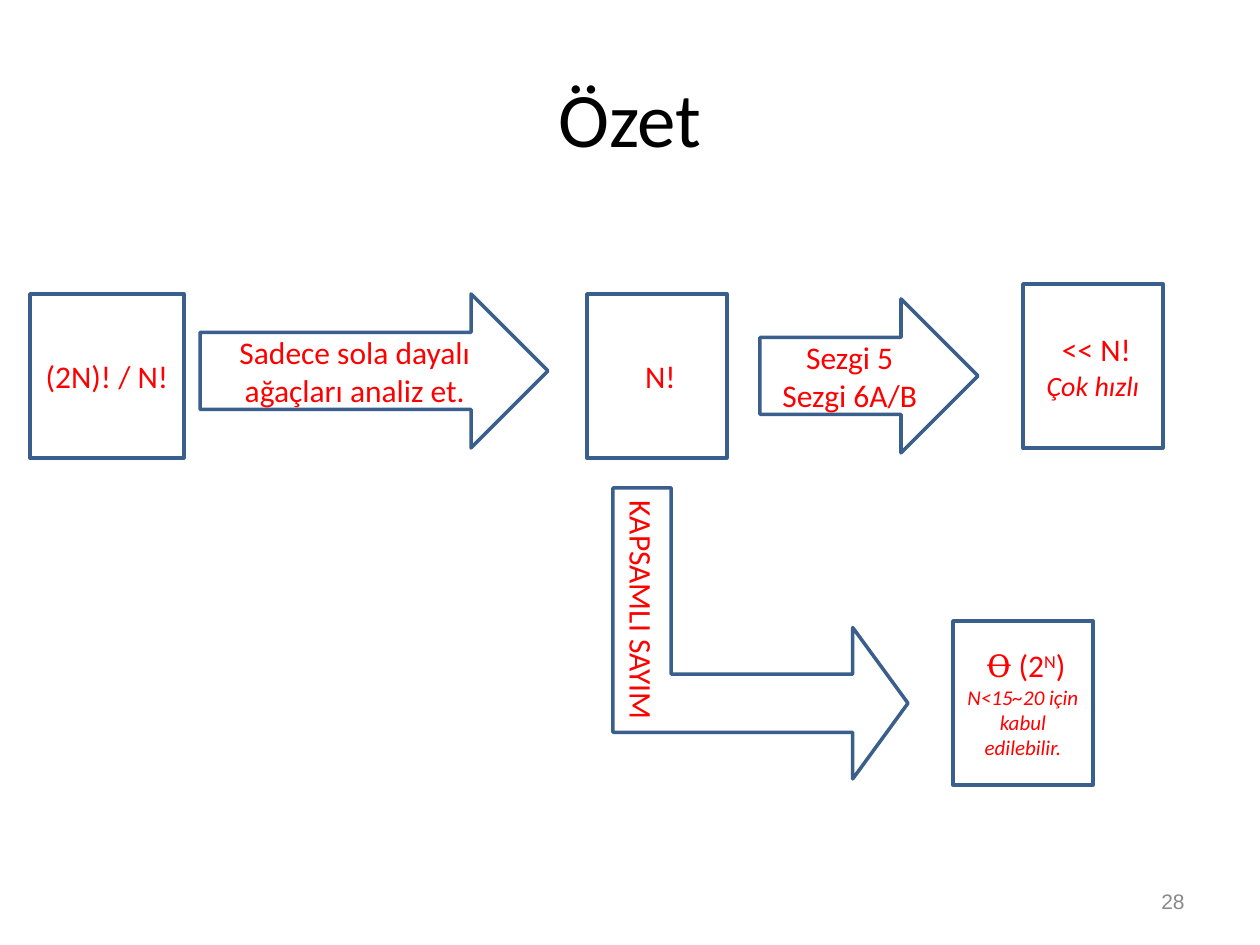
import pptx
import pptx.util
import pptx.dml.color
import pptx.enum.shapes
import pptx.enum.text

SHAPE = pptx.enum.shapes.MSO_SHAPE
ALIGN = pptx.enum.text.PP_ALIGN
MIDDLE = pptx.enum.text.MSO_ANCHOR.MIDDLE
PX = 914400 // 126
RED, BLUE, GREY, BLACK = "FF0000", "3A5F8C", "898989", "000000"

TITLE = "Özet"
PAGE_NUMBER = "28"
BOX_W, BOX_H, ARROW_H = 140, 164, 154

# Each line of text: (runs, size, italic); each run: (text, font or None, superscript)
def line(text, size=18, italic=False):
    return [(text, None, False)], size, italic


COMPLEXITY = [(" ", None, False), ("Ꝋ ", "Times New Roman", False),
              ("(2", None, False), ("N", None, True), (")", None, False)]

# Left, top, width, height in px, then the lines of text
BOXES = [
    (30, 294, 154, BOX_H, [line("(2N)! / N!")]),
    (587, 294, BOX_W, BOX_H, [line(" N!")]),
    (1023, 284, BOX_W, BOX_H, [line(" << N!"), line("Çok hızlı", 16, True)]),
    (953, 621, BOX_W, BOX_H,
     [(COMPLEXITY, 18, False), line("N<15~20 için kabul edilebilir.", 12, True)]),
]
ARROWS = [
    (200, 294, 348, ARROW_H, [line("Sadece sola dayalı ağaçları analiz et.")]),
    (760, 299, 218, ARROW_H, [line("Sezgi 5"), line("Sezgi 6A/B")]),
]
BENT_ARROW = (615, 486, 291, 295, [line("KAPSAMLI SAYIM")])
BENT_ADJUSTMENTS = (0.2, 0.26, 0.19)


def color(value):
    return pptx.dml.color.RGBColor.from_string(value)


def px(*lengths):
    return [length * PX for length in lengths]


def style(paragraph, size, fill, align, name="Calibri", italic=False):
    paragraph.alignment = align
    font = paragraph.font
    font.name, font.size, font.italic = name, pptx.util.Pt(size), italic
    font.color.rgb = color(fill)


def write(frame, lines):
    frame.word_wrap = True
    frame.vertical_anchor = MIDDLE
    for index, (runs, size, italic) in enumerate(lines):
        paragraph = frame.add_paragraph() if index else frame.paragraphs[0]
        style(paragraph, size, RED, ALIGN.CENTER, italic=italic)
        for text, font_name, superscript in runs:
            run = paragraph.add_run()
            run.text = text
            if font_name:
                run.font.name = font_name
            if superscript:
                run._r.get_or_add_rPr().set("baseline", "30000")


def add_outline(slide, kind, left, top, width, height, lines):
    outline = slide.shapes.add_shape(kind, *px(left, top, width, height))
    outline.shadow.inherit = False
    outline.fill.background()
    outline.line.color.rgb = color(BLUE)
    outline.line.width = pptx.util.Pt(2)
    write(outline.text_frame, lines)
    return outline


def main():
    deck = pptx.Presentation()
    deck.slide_width, deck.slide_height = px(1260, 945)
    slide = deck.slides.add_slide(deck.slide_layouts[5])

    # Title
    title = slide.shapes.title
    title.left, title.top, title.width, title.height = px(63, 38, 1134, 157)
    title.text_frame.text = TITLE
    title.text_frame.vertical_anchor = MIDDLE
    style(title.text_frame.paragraphs[0], 44, BLACK, ALIGN.CENTER)

    # Page number
    number = slide.shapes.add_textbox(*px(903, 876, 294, 50)).text_frame
    number.word_wrap = True
    number.vertical_anchor = MIDDLE
    number.text = PAGE_NUMBER
    style(number.paragraphs[0], 12, GREY, ALIGN.RIGHT, name="Arial")

    # Problem sizes and the steps between them
    for box in BOXES:
        add_outline(slide, SHAPE.RECTANGLE, *box)
    for arrow in ARROWS:
        add_outline(slide, SHAPE.RIGHT_ARROW, *arrow)

    # Exhaustive enumeration branch, turned to point right
    branch = add_outline(slide, SHAPE.BENT_UP_ARROW, *BENT_ARROW)
    branch.rotation = 90
    for index, value in enumerate(BENT_ADJUSTMENTS):
        branch.adjustments[index] = value

    deck.save("out.pptx")


if __name__ == "__main__":
    main()
